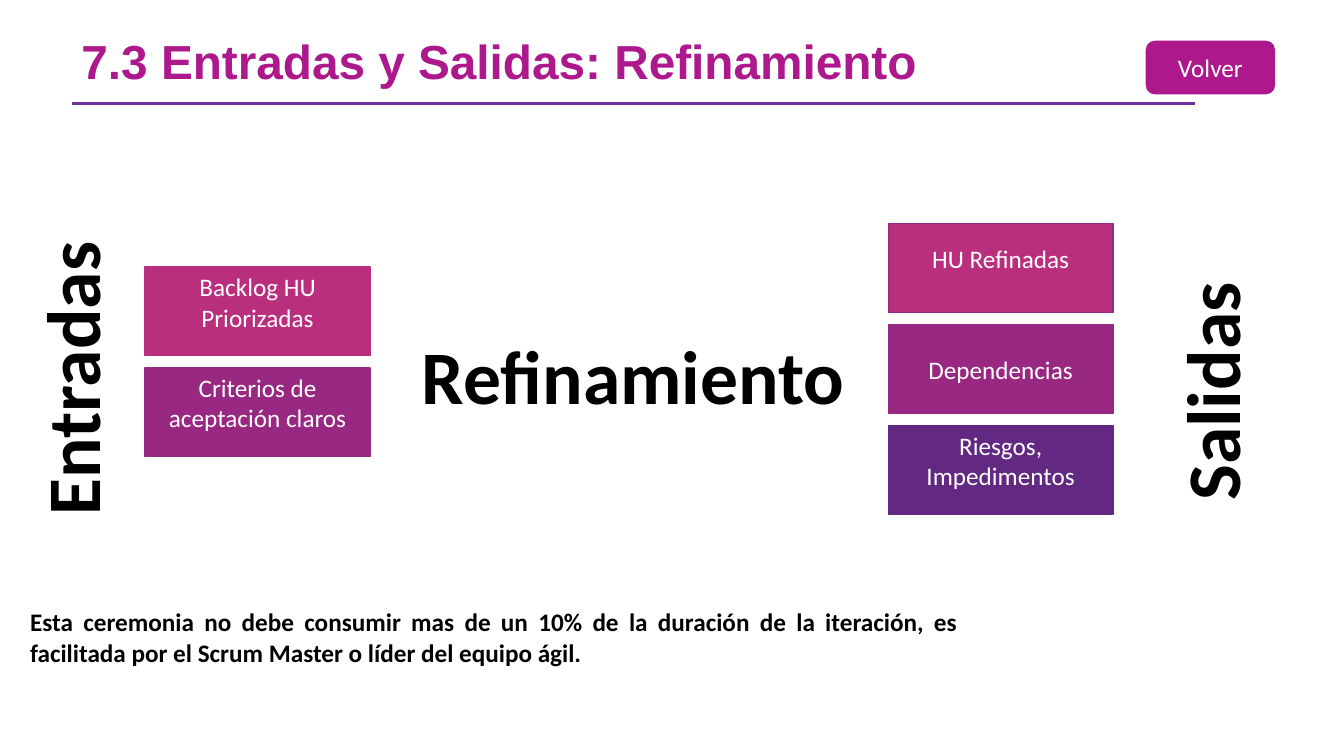
from dataclasses import dataclass, field

from lxml.etree import SubElement
from pptx import Presentation
from pptx.dml.color import RGBColor as Rgb
from pptx.enum.shapes import MSO_CONNECTOR as Link, MSO_SHAPE as Kind
from pptx.enum.text import MSO_ANCHOR as Anchor, PP_ALIGN as Align
from pptx.oxml.ns import qn
from pptx.shapes.base import BaseShape
from pptx.slide import Slide
from pptx.util import Inches, Pt

HUES = {"magenta": "AD198D", "pink": "BA2F7D", "plum": "982881",
        "violet": "632881", "rule": "7030A0", "white": "FFFFFF", "black": "000000"}
BOX_W, BOX_H = 2.23, 0.88
STEP = 1.0
LIFT = 0.24  # bottom inset that raises the text of a box


@dataclass
class Box:
    text: str
    left: float
    top: float
    fill: str
    edge: str = ""
    low: float = LIFT
    width: float = BOX_W
    height: float = BOX_H
    kind: Kind = Kind.RECTANGLE


@dataclass
class Label:
    text: str
    left: float
    top: float
    width: float
    height: float = 1.01
    turn: int = 0
    wrap: bool = False
    align: Align = Align.CENTER
    anchor: Anchor = Anchor.TOP
    space: float = 1.0
    hue: str = "black"
    font: dict = field(default_factory=lambda: {"size": Pt(54), "bold": True})


def color(name: str) -> Rgb:
    return Rgb.from_string(HUES[name])


def write(shape: BaseShape, text: str, hue: str, frame: dict, para: dict, font: dict) -> None:
    """Fill a shape with one formatted paragraph."""
    body = shape.text_frame
    line = body.paragraphs[0]
    run = line.add_run()
    run.text = text
    run.font.color.rgb = color(hue)
    face = {"name": "Calibri", "size": Pt(18)} | font
    for part, looks in ((body, frame), (line, para), (run.font, face)):
        for name, value in looks.items():
            setattr(part, name, value)


def draw_box(slide: Slide, box: Box) -> None:
    shape = slide.shapes.add_shape(box.kind, Inches(box.left), Inches(box.top),
                                   Inches(box.width), Inches(box.height))
    shape.shadow.inherit = False
    shape.fill.solid()
    shape.fill.fore_color.rgb = color(box.fill)
    shape.line.color.rgb = color(box.edge or box.fill)
    shape.line.width = Pt(1)
    frame = {"word_wrap": True, "vertical_anchor": Anchor.MIDDLE,
             "margin_bottom": Inches(box.low)}
    write(shape, box.text, "white", frame, {"alignment": Align.CENTER}, {})


def draw_label(slide: Slide, label: Label) -> None:
    shape = slide.shapes.add_textbox(Inches(label.left), Inches(label.top),
                                     Inches(label.width), Inches(label.height))
    shape.rotation = label.turn
    frame = {"word_wrap": label.wrap, "vertical_anchor": label.anchor}
    para = {"alignment": label.align, "line_spacing": label.space}
    write(shape, label.text, label.hue, frame, para, label.font)


def draw_rule(slide: Slide, left: float, right: float, top: float) -> None:
    rule = slide.shapes.add_connector(Link.STRAIGHT, Inches(left), Inches(top),
                                      Inches(right), Inches(top))
    rule.line.color.rgb = color("rule")
    rule.line.width = Pt(2.25)
    SubElement(rule._element.spPr, qn("a:effectLst"))


def main() -> None:
    deck = Presentation()
    deck.slide_width, deck.slide_height = Inches(13.33), Inches(7.5)
    slide = deck.slides.add_slide(deck.slide_layouts[6])

    draw_rule(slide, 0.71, 11.85, 1.03)

    inputs = [("Backlog HU Priorizadas", "pink", "", LIFT),
              ("Criterios de aceptación claros", "plum", "", LIFT)]
    outputs = [("HU Refinadas", "pink", "plum", LIFT),
               ("Dependencias", "plum", "", 0.05),
               ("Riesgos, Impedimentos", "violet", "", LIFT)]
    for left, top, items in ((1.44, 2.65, inputs), (8.81, 2.22, outputs)):
        for row, (text, fill, edge, low) in enumerate(items):
            draw_box(slide, Box(text, left, top + row * STEP, fill, edge, low))
    draw_box(slide, Box("Volver", 11.37, 0.41, "magenta", low=0.05, width=1.27,
                        height=0.52, kind=Kind.ROUNDED_RECTANGLE))

    labels = [
        Label("7.3 Entradas y Salidas: Refinamiento", 0.71, 0.31, 8.89, 0.72,
              wrap=True, align=Align.LEFT, anchor=Anchor.MIDDLE, space=0.7, hue="magenta",
              font={"name": "Arial", "size": Pt(34.1), "bold": True}),
        Label("Refinamiento", 4.06, 3.21, 4.44),
        Label("Entradas", -0.77, 3.25, 2.94, turn=270),
        Label("Salidas", 10.81, 3.38, 2.39, turn=270),
        Label("Esta ceremonia no debe consumir mas de un 10% de la duración de la iteración, "
              "es facilitada por el Scrum Master o líder del equipo ágil.",
              0.2, 5.97, 9.4, 0.71, wrap=True, align=Align.JUSTIFY, font={"bold": True}),
    ]
    for label in labels:
        draw_label(slide, label)

    deck.save("out.pptx")


if __name__ == "__main__":
    main()
